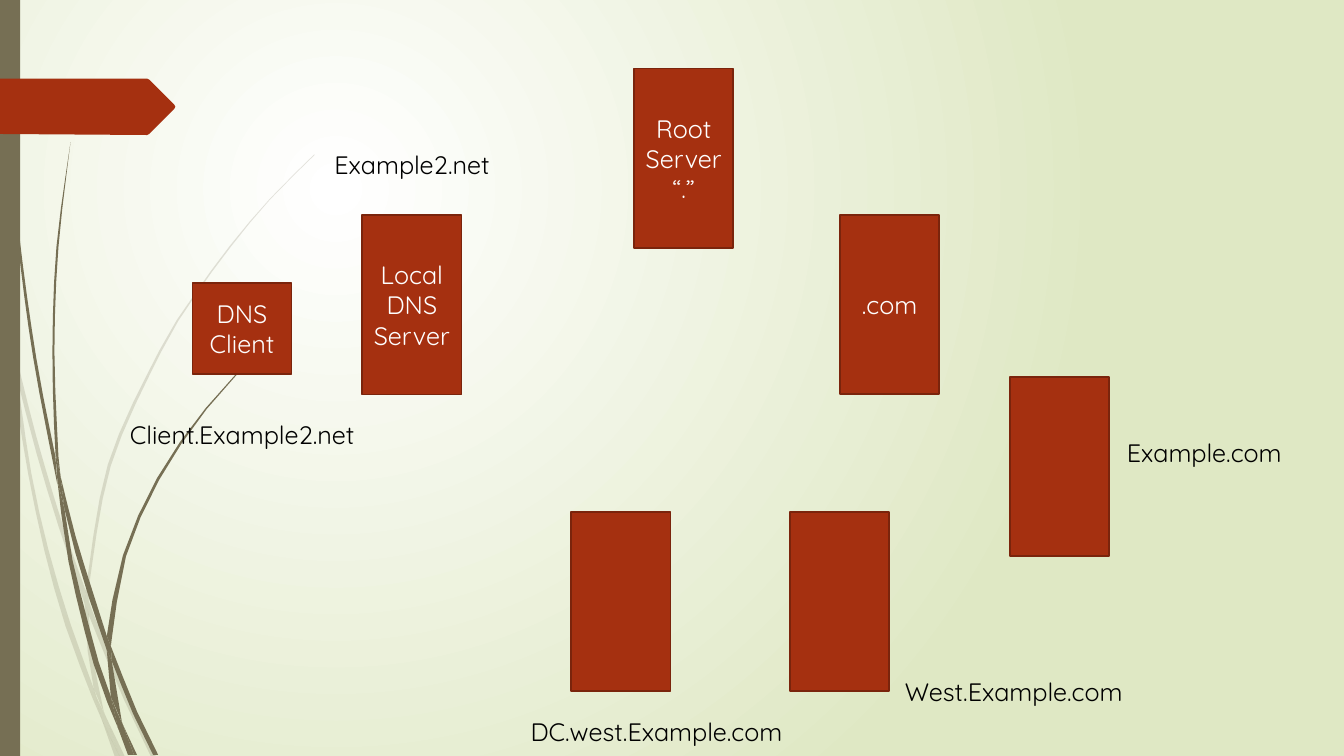
from dataclasses import dataclass
from math import dist

from pptx import Presentation
from pptx.dml.color import RGBColor
from pptx.enum.shapes import MSO_SHAPE
from pptx.enum.text import MSO_ANCHOR, MSO_AUTO_SIZE, PP_ALIGN
from pptx.oxml import parse_xml
from pptx.oxml.ns import nsdecls, qn
from pptx.util import Cm, Pt


@dataclass(frozen=True)
class Theme:
    accent: str = "A53010"
    outline: str = "7A240C"
    stem: str = "766F54"
    centre: str = "FFFFFF"
    rim: str = "DFE8C4"
    light: str = "FFFFFF"
    dark: str = "000000"
    font: str = "Quicksand"
    body: int = 18
    border: float = 1.25
    pale: int = 20


@dataclass(frozen=True)
class Box:
    left: float
    top: float
    width: float
    height: float

    def inside(self, left, top, width, height):
        return Box(self.left + left, self.top + top, width, height)

    def lengths(self):
        return [Cm(value) for value in (self.left, self.top, self.width, self.height)]


THEME = Theme()
SLIDE = Box(0, 0, 33.87, 19.05)
SERVER_WIDTH, SERVER_HEIGHT, CLIENT_HEIGHT, LABEL_HEIGHT = 2.5, 4.52, 2.3, 1.02
OUTLINE_UNIT = 2.54
CURVE_STEP = 0.35

SERVERS = [
    ("DNS Client", 4.85, 7.13, CLIENT_HEIGHT),
    ("Local DNS Server", 9.13, 5.42, SERVER_HEIGHT),
    ("", 14.4, 12.9, SERVER_HEIGHT),
    ("", 19.91, 12.9, SERVER_HEIGHT),
    ("", 25.45, 9.5, SERVER_HEIGHT),
    (".com", 21.17, 5.41, SERVER_HEIGHT),
    ("Root Server “.”", 15.98, 1.73, SERVER_HEIGHT),
]
DOMAINS = [
    ("Example.com", 27.95, 10.9, 4.8),
    ("West.Example.com", 22.31, 16.91, 6.48),
    ("DC.west.Example.com", 12.76, 17.93, 7.57),
    ("Example2.net", 8.01, 3.63, 4.75),
    ("Client.Example2.net", 2.74, 10.44, 6.73),
]
PALE_STEMS = [
    ([(0, 2.82), (0.09, 3.22), (0.11, 3.5)], [(0.1, 3.44), (0, 2.99)]),
    ([(0.14, 3.45), (0.36, 4.33), (0.62, 5.2), (0.85, 5.86)],
     [(0.84, 5.99), (0.58, 5.22), (0.36, 4.49), (0.17, 3.76)]),
    ([(0.88, 5.96), (0.92, 6.07), (1.09, 6.5), (1.27, 6.92), (1.55, 7.51)],
     [(1.5, 7.51), (1.23, 6.94), (1.05, 6.52), (0.88, 6.1)]),
    ([(1.05, 7.11), (1.24, 7.51)], [(1.19, 7.51)]),
    ([(0.11, 3.5), (0.17, 3.76), (0.31, 4.69), (0.48, 5.45), (0.7, 6.19), (0.93, 6.83),
      (1.01, 7.14)],
     [(0.92, 6.93), (0.65, 6.21), (0.44, 5.46), (0.28, 4.7), (0.18, 4.1)]),
    ([(0.84, 5.99), (0.87, 6.46), (0.93, 6.83), (1.05, 7.11)],
     [(1.03, 7.06), (0.91, 6.46), (0.88, 6.08)]),
    ([(3.12, 1.53), (2.68, 1.97), (2.28, 2.44), (1.91, 2.95), (1.58, 3.48), (1.07, 4.61),
      (0.85, 5.86)],
     [(0.88, 5.96), (0.88, 5.84), (1.1, 4.62), (1.6, 3.49), (1.92, 2.96), (2.29, 2.45),
      (2.68, 1.98), (3.12, 1.54)]),
    ([(1.01, 7.14), (1.14, 7.51)], [(1.19, 7.51)]),
    ([(0.85, 5.86), (0.84, 5.99), (0.88, 6.08)], [(0.88, 6.1), (0.88, 5.96)]),
    ([(0.93, 6.83), (1.01, 7.14), (1.19, 7.51)], [(1.05, 7.11), (0.96, 6.92)]),
]
DARK_STEMS = [
    ([(0.03, 0), (0.07, 1.1), (0.17, 2.33), (0.33, 3.55), (0.57, 4.81)],
     [(0.55, 4.53), (0.36, 3.55), (0.19, 2.32), (0.08, 1.09), (0.04, 0)]),
    ([(0.6, 4.72), (0.75, 5.32), (0.93, 5.9), (1.06, 6.31)],
     [(1.06, 6.45), (0.88, 5.92), (0.75, 5.49), (0.64, 5.05)]),
    ([(1.1, 6.41), (1.36, 7.06), (1.57, 7.49)], [(1.52, 7.49), (1.32, 7.08), (1.11, 6.56)]),
    ([(0.57, 4.77), (0.68, 5.57), (0.93, 6.59), (1.17, 7.22)],
     [(1.16, 7.17), (1.1, 6.91), (0.98, 6.57), (0.72, 5.56), (0.64, 5.05)]),
    ([(0.7, 1.41), (0.56, 2.45), (0.52, 3.49), (0.55, 4.49), (0.6, 4.72)],
     [(0.58, 4.53), (0.54, 3.49), (0.58, 2.45), (0.7, 1.41)]),
    ([(1.22, 7.19), (1.33, 7.49)], [(1.36, 7.49)]),
    ([(0.55, 4.49), (0.57, 4.77), (0.64, 5.05)], [(0.6, 4.72)]),
    ([(2.6, 3.44), (2.04, 4.05), (1.56, 4.74), (1.22, 5.51), (1.06, 6.31), (1.1, 6.41)],
     [(1.11, 6.33), (1.25, 5.52), (1.58, 4.76), (2.05, 4.06), (2.61, 3.44)]),
    ([(1.17, 7.22), (1.27, 7.49)], [(1.31, 7.49)]),
    ([(1.06, 6.45), (1.1, 6.91), (1.22, 7.19)], [(1.21, 7.16), (1.11, 6.56)]),
    ([(1.06, 6.31), (1.06, 6.45), (1.11, 6.56)], [(1.1, 6.41)]),
    ([(1.1, 6.91), (1.17, 7.22), (1.3, 7.49)], [(1.33, 7.49), (1.22, 7.19), (1.16, 7.06)]),
]
BANNER = [(0, 0.78), (1.46, 0.78), (1.48, 0.79), (1.73, 1.04), (1.74, 1.06), (1.73, 1.08),
          (1.48, 1.33), (1.46, 1.34), (0, 1.33)]


def paint(shape, color, outline=None, opacity=100):
    shape.shadow.inherit = False
    shape.fill.solid()
    shape.fill.fore_color.rgb = RGBColor.from_string(color)
    if opacity < 100:
        tint = shape.element.spPr.find(qn("a:solidFill"))[0]
        tint.append(parse_xml(f'<a:alpha {nsdecls("a")} val="{opacity * 1000}"/>'))
    if outline:
        shape.line.color.rgb = RGBColor.from_string(outline)
        shape.line.width = Pt(THEME.border)
    else:
        shape.line.fill.background()


def write(shape, text, color, wrap=True, anchor=MSO_ANCHOR.MIDDLE):
    frame = shape.text_frame
    frame.word_wrap = wrap
    frame.vertical_anchor = anchor
    paragraph = frame.paragraphs[0]
    paragraph.alignment = PP_ALIGN.CENTER
    span = paragraph.add_run()
    span.text = text
    span.font.name = THEME.font
    span.font.size = Pt(THEME.body)
    span.font.color.rgb = RGBColor.from_string(color)


def smooth(points):
    padded = [points[0], *points, points[-1]]
    curve = []
    for before, start, end, after in zip(padded, padded[1:], padded[2:], padded[3:]):
        steps = max(1, round(dist(start, end) / CURVE_STEP))
        for t in (step / steps for step in range(steps)):
            curve.append(tuple(
                b + ((c - a) * t + (2 * a - 5 * b + 4 * c - d) * t ** 2
                     + (3 * b - a - 3 * c + d) * t ** 3) / 2
                for a, b, c, d in zip(before, start, end, after)))
    return [*curve, points[-1]]


def draw_outline(shapes, box, points, color, opacity=100):
    corners = [(Cm(box.left + x * OUTLINE_UNIT), Cm(box.top + y * OUTLINE_UNIT))
               for x, y in points]
    builder = shapes.build_freeform(*corners[0])
    builder.add_line_segments(corners[1:], close=True)
    paint(builder.convert_to_shape(), color, opacity=opacity)


def draw_background(page):
    fill = page.background.fill
    fill.gradient()
    for position, color in enumerate((THEME.centre, THEME.rim)):
        stop = fill.gradient_stops[position]
        stop.color.rgb = RGBColor.from_string(color)
        stop.position = position
    gradient = page.element.find(".//" + qn("a:gradFill"))
    gradient.replace(gradient.find(qn("a:lin")), parse_xml(
        f'<a:path {nsdecls("a")} path="circle">'
        '<a:fillToRect l="50000" t="50000" r="100000" b="100000"/></a:path>'))


def draw_decoration(page, box):
    for stems, opacity in ((PALE_STEMS, THEME.pale), (DARK_STEMS, 100)):
        tuft = page.shapes.add_group_shape()
        for outward, back in stems:
            draw_outline(tuft.shapes, box, smooth(outward) + smooth(back), THEME.stem, opacity)
    bar = box.inside(0, 0, 0.51, box.height)
    paint(page.shapes.add_shape(MSO_SHAPE.RECTANGLE, *bar.lengths()), THEME.stem)
    draw_outline(page.shapes, box, BANNER, THEME.accent)


def draw_servers(page, box):
    for name, left, top, height in SERVERS:
        place = box.inside(left, top, SERVER_WIDTH, height)
        server = page.shapes.add_shape(MSO_SHAPE.RECTANGLE, *place.lengths())
        paint(server, THEME.accent, outline=THEME.outline)
        if name:
            write(server, name, THEME.light)


def draw_domains(page, box):
    for name, left, top, width in DOMAINS:
        label = page.shapes.add_textbox(*box.inside(left, top, width, LABEL_HEIGHT).lengths())
        write(label, name, THEME.dark, wrap=False, anchor=MSO_ANCHOR.TOP)
        label.text_frame.auto_size = MSO_AUTO_SIZE.SHAPE_TO_FIT_TEXT


deck = Presentation()
deck.slide_width, deck.slide_height = Cm(SLIDE.width), Cm(SLIDE.height)
page = deck.slides.add_slide(deck.slide_layouts[6])
draw_background(page)
for draw in (draw_decoration, draw_servers, draw_domains):
    draw(page, SLIDE)
deck.save("out.pptx")
